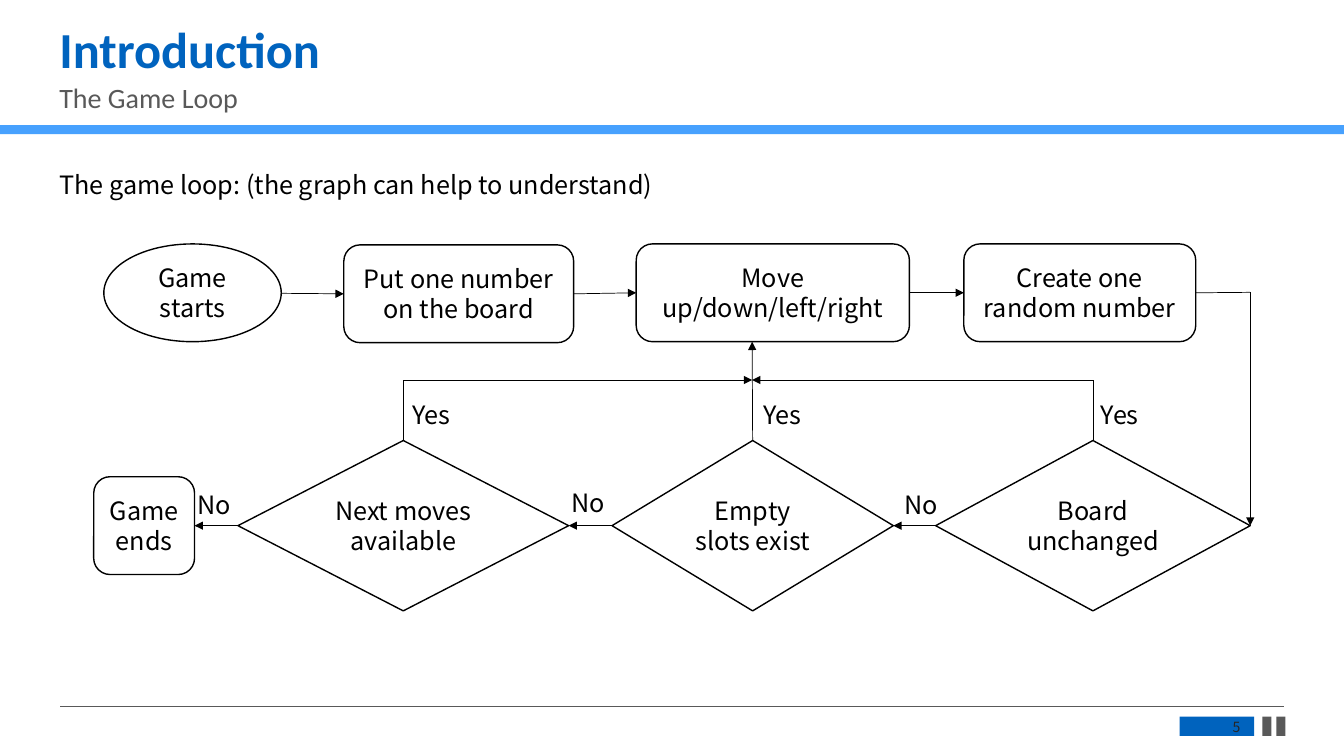
from dataclasses import dataclass
from typing import NamedTuple, Union

from lxml.etree import SubElement
from pptx import Presentation
from pptx.dml.color import RGBColor
from pptx.enum.shapes import MSO_CONNECTOR, MSO_SHAPE as Geometry
from pptx.enum.text import MSO_ANCHOR as Anchor, MSO_AUTO_SIZE as AutoSize, PP_ALIGN as Align
from pptx.oxml.ns import qn
from pptx.util import Pt

EMU_PER_PX = 9144  # 100 px to the inch
BODY_FONT = "Noto Sans CJK SC"
HEADING_FONT = "Calibri"
BLACK, WHITE, GREY = "000000", "FFFFFF", "595959"
BLUE, LIGHT_BLUE, NUMBER_GREY = "0063BE", "47A1FE", "262626"
TOP, LEFT, RIGHT = 0, 1, 3


class Box(NamedTuple):
    left: int
    top: int
    width: int
    height: int


class Point(NamedTuple):
    x: int
    y: int


class Joint(NamedTuple):
    step: str
    side: int


End = Union[Point, Joint]


@dataclass
class Step:
    text: str
    geometry: Geometry
    box: Box
    inset: int = 10


@dataclass
class Flow:
    start: End
    end: End
    arrow: bool = True


@dataclass
class Label:
    text: str
    box: Box


def px(length: int) -> int:
    return length * EMU_PER_PX


def color(value: str) -> RGBColor:
    return RGBColor.from_string(value)


def write(frame, text: str, *, size=18, font=BODY_FONT, ink=BLACK, bold=False,
          align=Align.LEFT, anchor=Anchor.TOP, inset=10, heading=False, grow=False) -> None:
    frame.word_wrap = True
    frame.auto_size = AutoSize.SHAPE_TO_FIT_TEXT if grow else AutoSize.NONE
    frame.vertical_anchor = anchor
    frame.margin_left = frame.margin_right = px(inset)
    paragraph = frame.paragraphs[0]
    paragraph.alignment = align
    if heading:
        paragraph.line_spacing = 0.9
        paragraph.space_before = Pt(10)
    run = paragraph.add_run()
    run.text = text
    run.font.size, run.font.name, run.font.bold = Pt(size), font, bold
    run.font.color.rgb = color(ink)


def add_text(slide, text: str, box: Box, **style) -> None:
    write(slide.shapes.add_textbox(*map(px, box)).text_frame, text, **style)


def add_block(slide, geometry: Geometry, box: Box, fill: str, outline: str = ""):
    block = slide.shapes.add_shape(geometry, *map(px, box))
    block.shadow.inherit = False
    block.fill.solid()
    block.fill.fore_color.rgb = color(fill)
    if outline:
        block.line.color.rgb = color(outline)
        block.line.width = Pt(1)
    else:
        block.line.fill.background()
    return block


def add_step(slide, step: Step):
    block = add_block(slide, step.geometry, step.box, WHITE, BLACK)
    write(block.text_frame, step.text, align=Align.CENTER, anchor=Anchor.MIDDLE, inset=step.inset)
    return block


def add_flow(slide, flow: Flow, blocks: dict, ink: str = BLACK) -> None:
    start, end = (px_end if isinstance(px_end, Point) else Point(0, 0)
                  for px_end in (flow.start, flow.end))
    line = slide.shapes.add_connector(MSO_CONNECTOR.STRAIGHT, *map(px, start + end))
    if isinstance(flow.start, Joint):
        line.begin_connect(blocks[flow.start.step], flow.start.side)
    if isinstance(flow.end, Joint):
        line.end_connect(blocks[flow.end.step], flow.end.side)
    line.line.color.rgb = color(ink)
    line.line.width = Pt(0.5)
    if flow.arrow:
        SubElement(line.line._get_or_add_ln(), qn("a:tailEnd"), type="triangle")
    SubElement(line._element.spPr, qn("a:effectLst"))


# Header and footer bars
BARS = [
    (Box(0, 124, 1333, 9), LIGHT_BLUE),
    (Box(1170, 711, 74, 19), BLUE),
    (Box(1252, 711, 9, 19), GREY),
    (Box(1266, 711, 9, 19), GREY),
]
FOOTER_RULE = Flow(Point(60, 701), Point(1273, 701), arrow=False)

# Steps of the game loop
STEPS = {
    "start": Step("Game starts", Geometry.OVAL, Box(103, 242, 176, 97)),
    "put": Step("Put one number on the board", Geometry.ROUNDED_RECTANGLE, Box(341, 243, 228, 97)),
    "move": Step("Move up/down/left/right", Geometry.ROUNDED_RECTANGLE, Box(631, 242, 271, 97)),
    "create": Step("Create one random number", Geometry.ROUNDED_RECTANGLE, Box(956, 242, 230, 97)),
    "unchanged": Step("Board unchanged", Geometry.FLOWCHART_DECISION, Box(928, 437, 312, 169)),
    "empty": Step("Empty slots exist", Geometry.FLOWCHART_DECISION, Box(607, 437, 279, 169)),
    "next": Step("Next moves available", Geometry.FLOWCHART_DECISION, Box(236, 437, 328, 169)),
    "end": Step("Game ends", Geometry.ROUNDED_RECTANGLE, Box(93, 473, 100, 97), inset=5),
}

# Flows: corners are met by two straight lines
MERGE = Point(746, 377)
UNCHANGED_CORNER, NEXT_CORNER = Point(1084, MERGE.y), Point(400, MERGE.y)
CREATE_CORNER = Point(1240, 290)
FLOWS = [
    Flow(Point(279, 291), Joint("put", LEFT)),
    Flow(Joint("put", RIGHT), Joint("move", LEFT)),
    Flow(Joint("move", RIGHT), Joint("create", LEFT)),
    Flow(Joint("create", RIGHT), CREATE_CORNER, arrow=False),
    Flow(CREATE_CORNER, Joint("unchanged", RIGHT)),
    Flow(Joint("unchanged", LEFT), Joint("empty", RIGHT)),
    Flow(Joint("empty", LEFT), Joint("next", RIGHT)),
    Flow(Joint("next", LEFT), Joint("end", RIGHT)),
    Flow(Joint("empty", TOP), Point(MERGE.x, 339)),
    Flow(Joint("unchanged", TOP), UNCHANGED_CORNER, arrow=False),
    Flow(UNCHANGED_CORNER, MERGE),
    Flow(Joint("next", TOP), NEXT_CORNER, arrow=False),
    Flow(NEXT_CORNER, MERGE),
]

# Answers beside the decisions
ANSWERS = [Label("Yes", Box(left, 391, 63, 40)) for left in (399, 747, 1082)]
ANSWERS += [Label("No", Box(left, top, 56, 40)) for left, top in ((186, 481), (557, 479), (887, 481))]


def main() -> None:
    deck = Presentation()
    deck.slide_width, deck.slide_height = px(1333), px(750)
    slide = deck.slides.add_slide(deck.slide_layouts[6])

    # Frame of the slide
    for box, fill in BARS:
        add_block(slide, Geometry.RECTANGLE, box, fill)
    add_flow(slide, FOOTER_RULE, {}, GREY)
    add_text(slide, "5", Box(1174, 713, 66, 17), size=10, ink=NUMBER_GREY,
             align=Align.RIGHT, anchor=Anchor.MIDDLE)

    # Headings
    add_text(slide, "Introduction", Box(49, 20, 1218, 64), size=36, font=HEADING_FONT,
             ink=BLUE, bold=True, heading=True)
    add_text(slide, "The Game Loop", Box(49, 79, 1218, 45), size=20, font=HEADING_FONT,
             ink=GREY, heading=True)
    add_text(slide, "The game loop: (the graph can help to understand)",
             Box(49, 163, 770, 40), grow=True)

    # Flowchart
    blocks = {name: add_step(slide, step) for name, step in STEPS.items()}
    for flow in FLOWS:
        add_flow(slide, flow, blocks)
    for answer in ANSWERS:
        add_text(slide, answer.text, answer.box, grow=True)

    deck.save("out.pptx")


if __name__ == "__main__":
    main()
